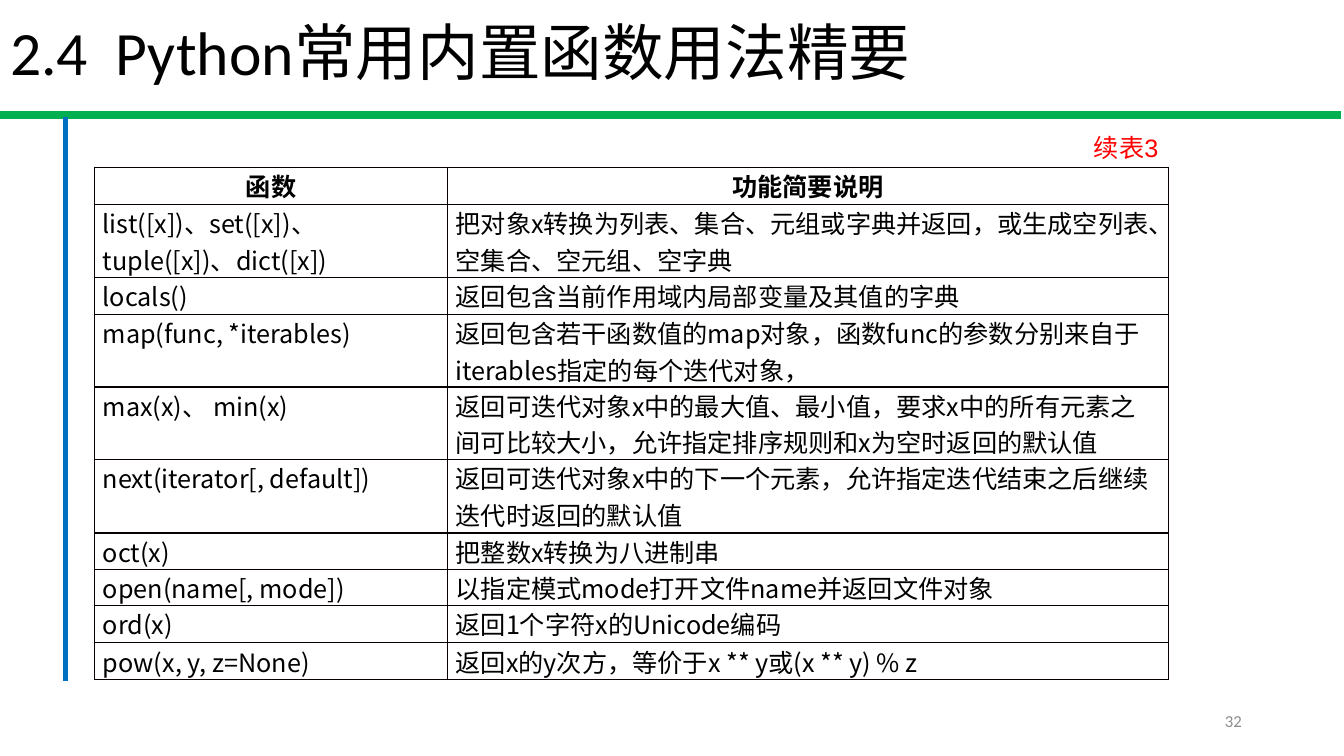
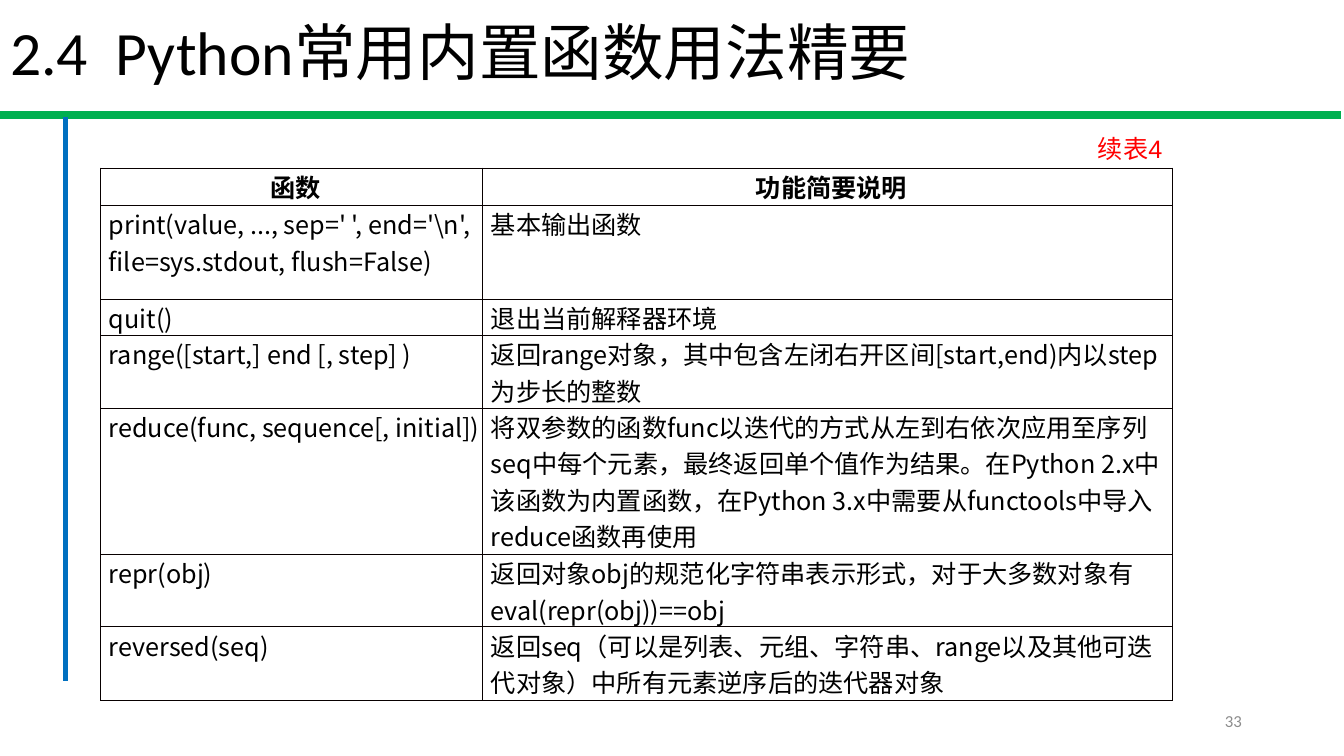
"""Build two slides that tabulate common Python built-in functions."""
import pptx
import pptx.dml.color
import pptx.enum.shapes
import pptx.enum.text
import pptx.oxml.ns
import pptx.util
from lxml import etree

Inches = pptx.util.Inches
Pt = pptx.util.Pt
RGBColor = pptx.dml.color.RGBColor
PP_ALIGN = pptx.enum.text.PP_ALIGN
MSO_ANCHOR = pptx.enum.text.MSO_ANCHOR
qn = pptx.oxml.ns.qn

CJK_FONT = "Noto Sans CJK SC"
TITLE = "2.4  Python常用内置函数用法精要"
HEADER = ("函数", "功能简要说明")
PAGES = [
    {
        "number": 32,
        "label": "续表3",
        "label_cjk_font": "Arial",
        "left": 0.94,
        "top": 1.66,
        "widths": (3.5, 7.15),
        "heights": (0.37, 0.72, 0.37, 0.72, 0.72, 0.73, 0.36, 0.36, 0.37, 0.36),
        "right_margin": 0.08,
        "rows": [
            ("list([x])、set([x])、tuple([x])、dict([x])",
             "把对象x转换为列表、集合、元组或字典并返回，或生成空列表、空集合、空元组、空字典"),
            ("locals()", "返回包含当前作用域内局部变量及其值的字典"),
            ("map(func, *iterables)",
             "返回包含若干函数值的map对象，函数func的参数分别来自于iterables指定的每个迭代对象，"),
            ("max(x)、 min(x)",
             "返回可迭代对象x中的最大值、最小值，要求x中的所有元素之间可比较大小，"
             "允许指定排序规则和x为空时返回的默认值"),
            ("next(iterator[, default])",
             "返回可迭代对象x中的下一个元素，允许指定迭代结束之后继续迭代时返回的默认值"),
            ("oct(x)", "把整数x转换为八进制串"),
            ("open(name[, mode])", "以指定模式mode打开文件name并返回文件对象"),
            ("ord(x)", "返回1个字符x的Unicode编码"),
            ("pow(x, y, z=None)", "返回x的y次方，等价于x ** y或(x ** y) % z"),
        ],
    },
    {
        "number": 33,
        "label": "续表4",
        "label_cjk_font": CJK_FONT,
        "left": 1.0,
        "top": 1.67,
        "widths": (3.79, 6.84),
        "heights": (0.37, 0.93, 0.36, 0.72, 1.45, 0.72, 0.73),
        "right_margin": 0,
        "rows": [
            ("print(value, ..., sep=' ', end='\\n', file=sys.stdout, flush=False)",
             "基本输出函数"),
            ("quit()", "退出当前解释器环境"),
            ("range([start,] end [, step] )",
             "返回range对象，其中包含左闭右开区间[start,end)内以step为步长的整数"),
            ("reduce(func, sequence[, initial])",
             "将双参数的函数func以迭代的方式从左到右依次应用至序列seq中每个元素，"
             "最终返回单个值作为结果。在Python 2.x中该函数为内置函数，"
             "在Python 3.x中需要从functools中导入reduce函数再使用"),
            ("repr(obj)",
             "返回对象obj的规范化字符串表示形式，对于大多数对象有eval(repr(obj))==obj"),
            ("reversed(seq)",
             "返回seq（可以是列表、元组、字符串、range以及其他可迭代对象）中所有元素逆序后的迭代器对象"),
        ],
    },
]

GREEN = RGBColor(0x00, 0xB0, 0x50)
BLUE = RGBColor(0x00, 0x70, 0xC0)
RED = RGBColor(0xFF, 0x00, 0x00)
GRAY = RGBColor(0x8C, 0x8C, 0x8C)
BLACK = RGBColor(0x00, 0x00, 0x00)
WHITE = RGBColor(0xFF, 0xFF, 0xFF)
BORDER = RGBColor(0x08, 0x00, 0x00)
RULES = [
    ((0, 1.14), (13.3, 1.14), GREEN, 5.25),
    ((0.65, 1.16), (0.65, 6.76), BLUE, 3.75),
]
LABEL_WIDTH, LABEL_HEIGHT = 1.44, 0.4


def write(frame, text, font, size, color, align=PP_ALIGN.LEFT, bold=False, cjk_font=CJK_FONT):
    """Put one formatted paragraph into a text frame."""
    frame.text = text
    para = frame.paragraphs[0]
    para.alignment = align
    for span in para.runs:
        span.font.name = font
        span.font.size = Pt(size)
        span.font.bold = bold
        span.font.color.rgb = color
        east_asian = etree.Element(qn("a:ea"), typeface=cjk_font)
        span.font._element.find(qn("a:latin")).addnext(east_asian)
    return para


def add_rules(page, layout):
    """Draw the two rules and move them to the shared layout."""
    for index, (start, end, color, weight) in enumerate(RULES):
        ends = [Inches(value) for value in start + end]
        rule = page.shapes.add_connector(pptx.enum.shapes.MSO_CONNECTOR.STRAIGHT, *ends)
        rule.line.color.rgb = color
        rule.line.width = Pt(weight)
        etree.SubElement(rule.element.spPr, qn("a:effectLst"))
        rule.element.nvCxnSpPr.cNvPr.id = 101 + index
        layout.shapes.element.append(rule.element)


def add_text(page, place, *style, **options):
    """Add a wrapping text box and return its frame."""
    box = page.shapes.add_textbox(*[Inches(value) for value in place])
    frame = box.text_frame
    frame.word_wrap = True
    write(frame, *style, **options)
    return frame


def add_borders(cell):
    """Outline a cell on all four sides."""
    properties = cell._tc.get_or_add_tcPr()
    for side in ("lnL", "lnR", "lnT", "lnB"):
        line = etree.SubElement(properties, qn("a:" + side), w=str(Pt(1)))
        fill = etree.SubElement(line, qn("a:solidFill"))
        etree.SubElement(fill, qn("a:srgbClr"), val=str(BORDER))


def add_function_table(page, content):
    """Add the table of functions and their descriptions."""
    rows = [HEADER] + content["rows"]
    place = (content["left"], content["top"], sum(content["widths"]), sum(content["heights"]))
    table = page.shapes.add_table(
        len(rows), len(HEADER), *[Inches(value) for value in place]).table
    table.horz_banding = False
    for column, width in zip(table.columns, content["widths"]):
        column.width = Inches(width)
    for row, height in zip(table.rows, content["heights"]):
        row.height = Inches(height)
    for row_index, texts in enumerate(rows):
        is_header = row_index == 0
        for column_index, text in enumerate(texts):
            cell = table.cell(row_index, column_index)
            cell.margin_left = Inches(0.08)
            cell.margin_right = Inches(content["right_margin"])
            cell.margin_top = cell.margin_bottom = 0
            add_borders(cell)
            cell.fill.solid()
            cell.fill.fore_color.rgb = WHITE
            write(cell.text_frame, text, CJK_FONT, 18, BLACK,
                  align=PP_ALIGN.CENTER if is_header else PP_ALIGN.LEFT, bold=is_header)


def add_page(deck, layout, content):
    """Add one slide with title, number, table and label."""
    page = deck.slides.add_slide(layout)
    title = page.shapes.title
    title.text_frame.vertical_anchor = MSO_ANCHOR.MIDDLE
    write(title.text_frame, TITLE, "Calibri", 44, BLACK).line_spacing = 0.9
    number = add_text(page, (9.42, 6.95, 3, 0.4), str(content["number"]),
                      "Calibri", 12, GRAY, align=PP_ALIGN.RIGHT)
    number.vertical_anchor = MSO_ANCHOR.MIDDLE
    add_function_table(page, content)
    label_left = content["left"] + sum(content["widths"]) - LABEL_WIDTH
    label_top = content["top"] - LABEL_HEIGHT
    label = add_text(page, (label_left, label_top, LABEL_WIDTH, LABEL_HEIGHT),
                     content["label"], "Arial", 18, RED, align=PP_ALIGN.RIGHT,
                     cjk_font=content["label_cjk_font"])
    label.auto_size = pptx.enum.text.MSO_AUTO_SIZE.SHAPE_TO_FIT_TEXT
    return page


def main():
    """Build and save the deck."""
    deck = pptx.Presentation()
    deck.slide_width, deck.slide_height = Inches(40 / 3), Inches(7.5)
    layout = deck.slide_layouts.get_by_name("Title Only")
    heading = layout.placeholders[0]
    heading.left, heading.top = 0, 0
    heading.width, heading.height = deck.slide_width, Inches(1.1)
    pages = [add_page(deck, layout, content) for content in PAGES]
    add_rules(pages[0], layout)
    deck.save("out.pptx")


main()
